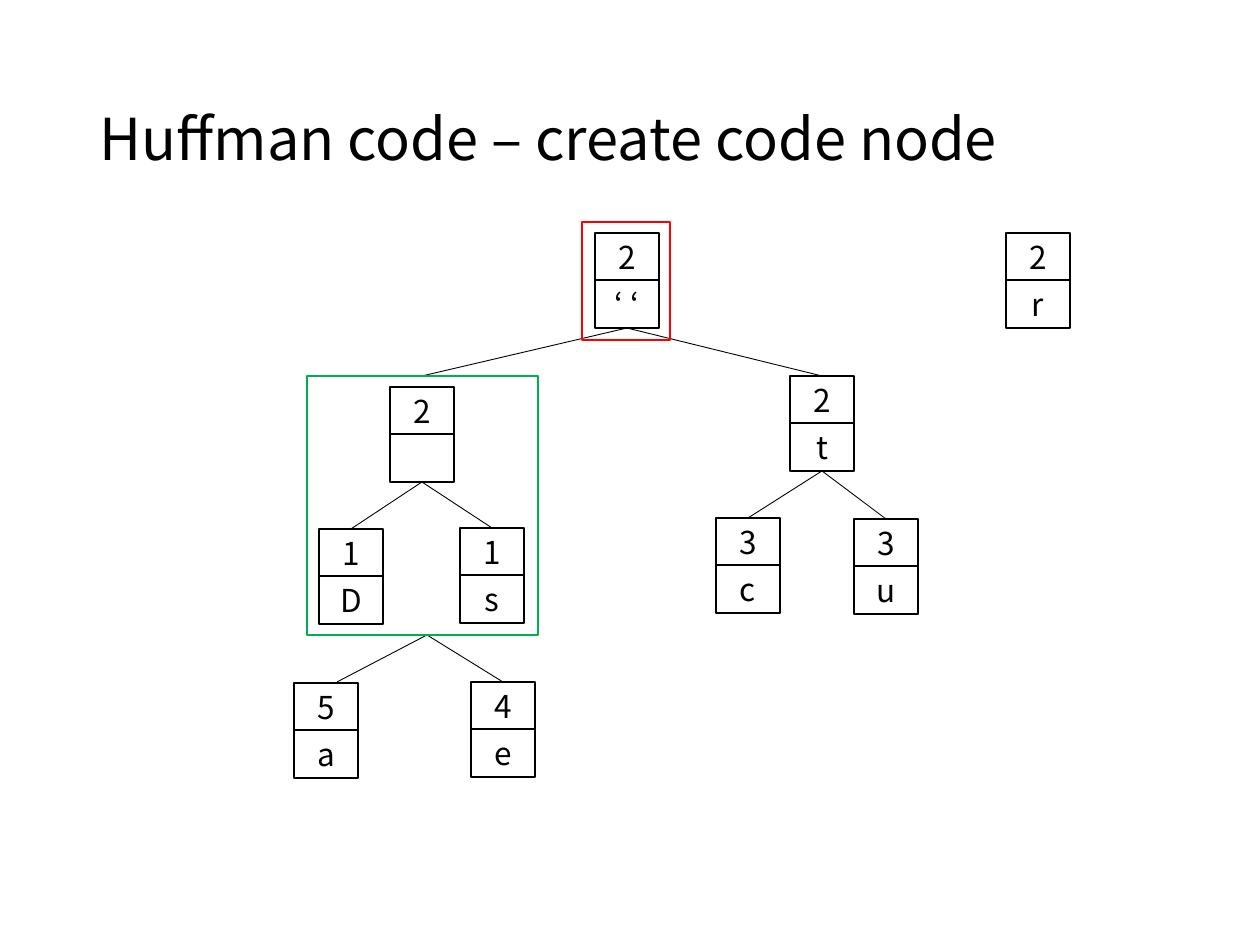
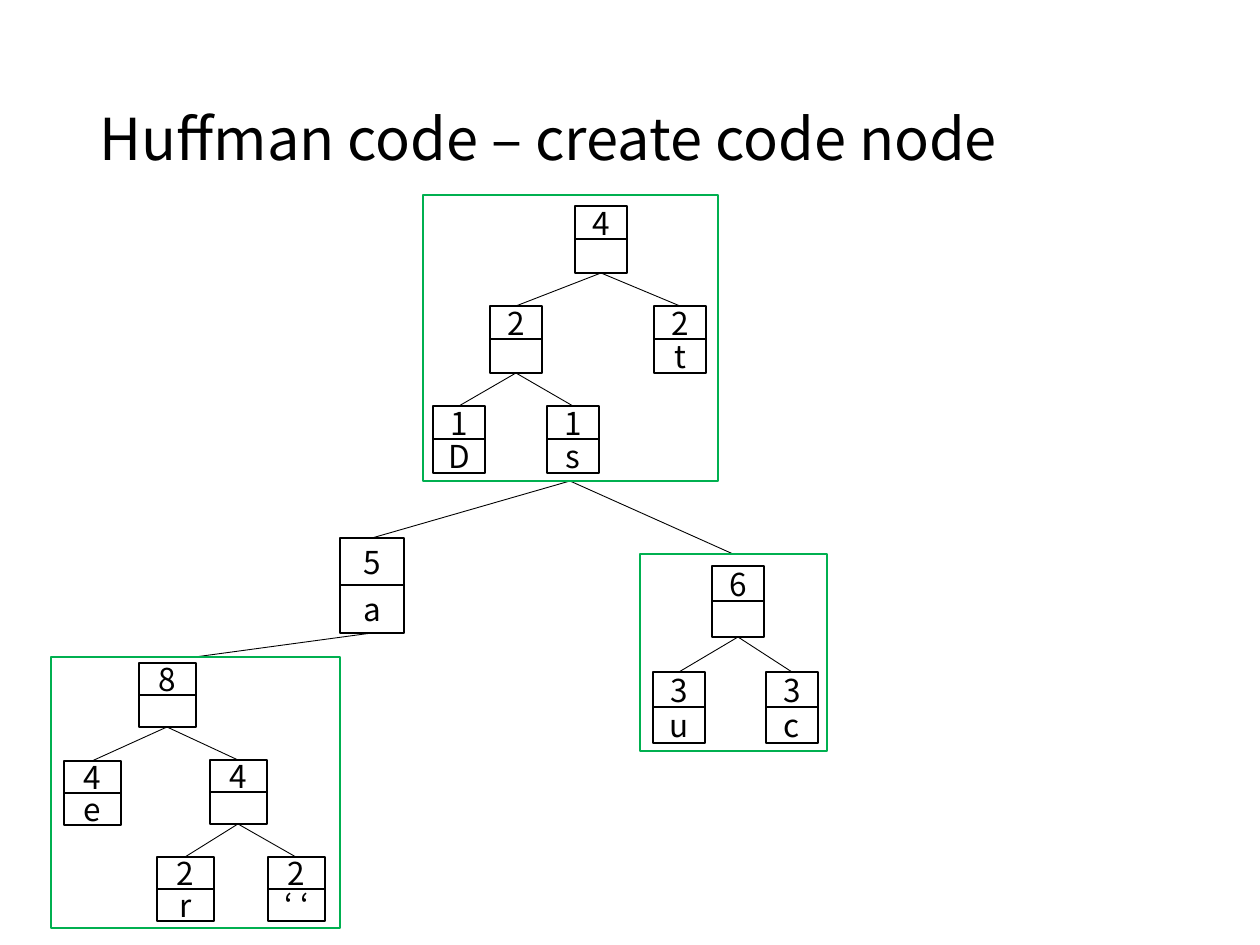
import pptx
import pptx.util
import pptx.dml.color
import pptx.enum.shapes
import pptx.enum.text
import pptx.oxml.ns
import lxml.etree

PX = 914400 / 126
FONT = "Noto Sans CJK KR"
COLORS = {"ink": "000000", "paper": "FFFFFF", "green": "00B050", "red": "FF0000"}
TITLE = "Huffman code – create code node"
RGB = pptx.dml.color.RGBColor.from_string


def emu(*lengths):
    return [round(n * PX) for n in lengths]


def add_rect(s, box, line, fill=None):
    sp = s.shapes.add_shape(pptx.enum.shapes.MSO_SHAPE.RECTANGLE, *emu(*box))
    sp.shadow.inherit = False
    sp.line.color.rgb = RGB(COLORS[line])
    sp.line.width = pptx.util.Pt(1)
    if fill:
        sp.fill.solid()
        sp.fill.fore_color.rgb = RGB(COLORS[fill])
    else:
        sp.fill.background()
    return sp


# Each node: left, top, width, height, count, letter
# Each frame: left, top, width, height, colour
# Links run from the bottom centre of a parent to the top centre of a child
slides = [
    {
        "nodes": {
            "r": (1006, 233, 64, 95, "2", "r"),
            "u": (854, 519, 64, 95, "3", "u"),
            "t": (790, 376, 64, 95, "2", "t"),
            "space": (595, 233, 64, 95, "2", "‘ ‘"),
            "e": (471, 682, 64, 95, "4", "e"),
            "c": (716, 518, 64, 95, "3", "c"),
            "s": (460, 528, 64, 95, "1", "s"),
            "D": (319, 529, 64, 95, "1", "D"),
            "Ds": (390, 387, 64, 95, "2", ""),
            "a": (294, 683, 64, 95, "5", "a"),
        },
        "frames": {
            "code node": (307, 376, 231, 259, "green"),
            "current": (582, 222, 88, 118, "red"),
        },
        "links": [("space", "code node"), ("space", "t"), ("t", "c"), ("t", "u"),
                  ("Ds", "D"), ("Ds", "s")],
        "free lines": [(427, 635, 337, 682), (427, 635, 503, 682)],
    },
    {
        "nodes": {
            "a": (340, 538, 64, 95, "5", "a"),
            "t": (654, 306, 52, 67, "2", "t"),
            "s": (547, 406, 52, 67, "1", "s"),
            "D": (433, 406, 52, 67, "1", "D"),
            "Ds": (490, 306, 52, 67, "2", ""),
            "Dst": (575, 206, 52, 67, "4", ""),
            "u": (653, 672, 52, 71, "3", "u"),
            "c": (766, 672, 52, 71, "3", "c"),
            "uc": (712, 566, 52, 71, "6", ""),
            "e": (64, 761, 57, 64, "4", "e"),
            "r": (157, 857, 57, 64, "2", "r"),
            "space": (268, 857, 57, 64, "2", "‘ ‘"),
            "r space": (210, 760, 57, 64, "4", ""),
            "e r space": (139, 663, 57, 64, "8", ""),
        },
        "frames": {
            "top": (423, 195, 295, 286, "green"),
            "right": (640, 554, 187, 197, "green"),
            "left": (51, 657, 289, 271, "green"),
        },
        "links": [("top", "a"), ("top", "right"), ("a", "left"),
                  ("Dst", "Ds"), ("Dst", "t"), ("Ds", "D"), ("Ds", "s"),
                  ("uc", "u"), ("uc", "c"), ("e r space", "e"),
                  ("e r space", "r space"), ("r space", "r"), ("r space", "space")],
        "free lines": [],
    },
]

prs = pptx.Presentation()
prs.slide_width, prs.slide_height = emu(1260, 945)

for tree in slides:
    s = prs.slides.add_slide(prs.slide_layouts[5])

    # Title
    sp = s.shapes.title
    sp.left, sp.top, sp.width, sp.height = emu(87, 50, 1086, 183)
    tf = sp.text_frame
    tf.auto_size = pptx.enum.text.MSO_AUTO_SIZE.NONE
    tf.vertical_anchor = pptx.enum.text.MSO_ANCHOR.MIDDLE
    p = tf.paragraphs[0]
    p.alignment = pptx.enum.text.PP_ALIGN.LEFT
    p.line_spacing = 0.9
    r = p.add_run()
    r.text = TITLE
    r.font.name = FONT
    r.font.size = pptx.util.Pt(33)
    r.font.color.rgb = RGB(COLORS["ink"])

    # Links
    boxes = {**tree["nodes"], **tree["frames"]}
    lines = list(tree["free lines"])
    for parent, child in tree["links"]:
        px, py, pw, ph = boxes[parent][:4]
        cx, cy, cw = boxes[child][:3]
        lines.append((px + pw // 2, py + ph, cx + cw // 2, cy))
    for ends in lines:
        cn = s.shapes.add_connector(pptx.enum.shapes.MSO_CONNECTOR.STRAIGHT, *emu(*ends))
        cn.line.color.rgb = RGB(COLORS["ink"])
        cn.line.width = pptx.util.Pt(0.5)
        lxml.etree.SubElement(cn.element.spPr, pptx.oxml.ns.qn("a:effectLst"))

    # Nodes: count above letter
    for x, y, w, h, count, letter in tree["nodes"].values():
        half = h // 2
        for top, height, text in ((y, half, count), (y + half, h - half, letter)):
            sp = add_rect(s, (x, top, w, height), "ink", "paper")
            if not text:
                continue
            tf = sp.text_frame
            tf.margin_left = tf.margin_right = tf.margin_top = tf.margin_bottom = 0
            tf.vertical_anchor = pptx.enum.text.MSO_ANCHOR.MIDDLE
            p = tf.paragraphs[0]
            p.alignment = pptx.enum.text.PP_ALIGN.CENTER
            r = p.add_run()
            r.text = text
            r.font.name = FONT
            r.font.size = pptx.util.Pt(18)
            r.font.color.rgb = RGB(COLORS["ink"])

    # Frames
    for *box, color in tree["frames"].values():
        add_rect(s, box, color)

prs.save("out.pptx")
